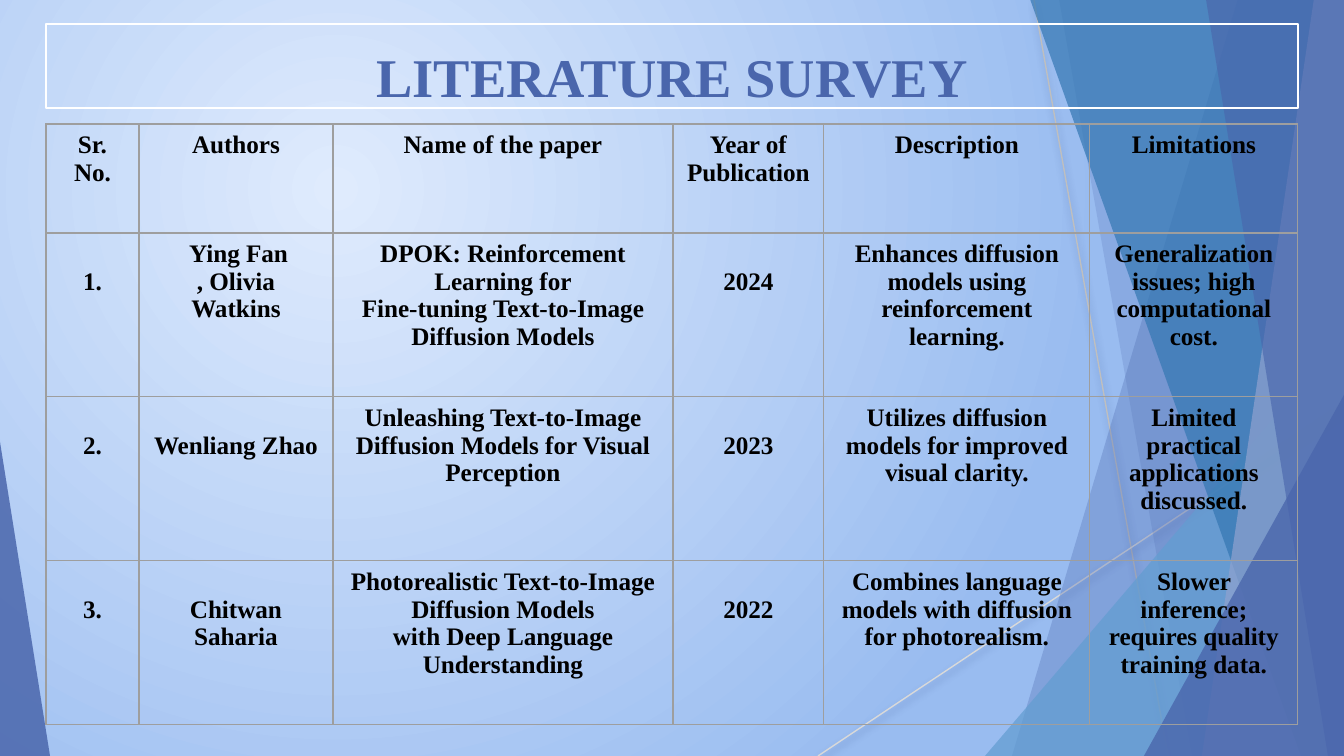
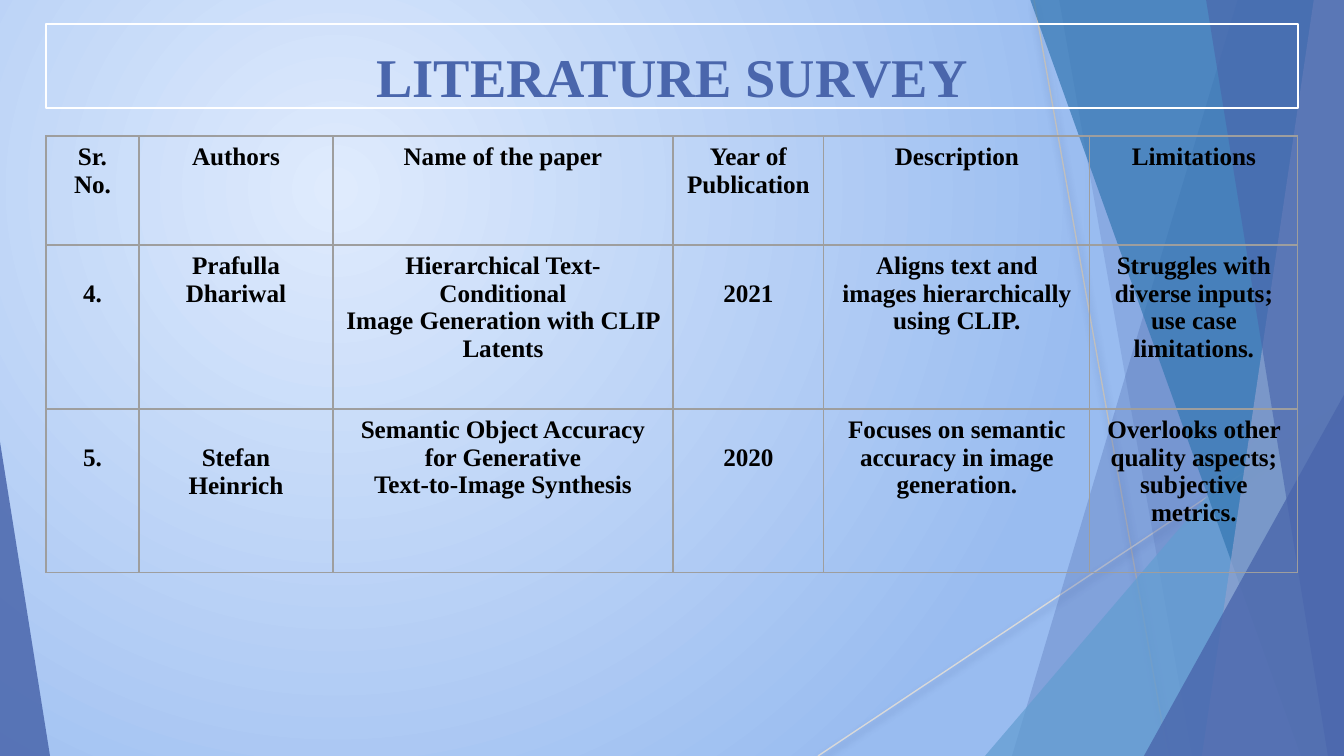
"""Builds the two literature survey slides."""
from lxml.etree import SubElement
from pptx import Presentation
from pptx.dml.color import RGBColor
from pptx.enum.shapes import MSO_CONNECTOR as Connector, MSO_SHAPE as Preset
from pptx.enum.text import MSO_ANCHOR as Anchor, MSO_AUTO_SIZE as AutoSize, PP_ALIGN as Align
from pptx.oxml import parse_xml
from pptx.oxml.ns import nsdecls, qn
from pptx.util import Emu, Pt

WIDTH, HEIGHT = 1344, 756
SCALE = 9144000 / WIDTH
FONT = "Times New Roman"
BLUE, SKY, TEAL, LAVENDER = "4A66AC", "629DD1", "3477B2", "90A2CF"
WHITE, BLACK, BORDER = "FFFFFF", "000000", "9E9E9E"
LEFT, CONTENT_WIDTH = 46, 1252
COLUMNS = [93, 194, 340, 151, 266, 208]
HEADER_HEIGHT, ROW_HEIGHT = 109, 164
CELL_MARGIN, LINE_HEIGHT = 7, 28

HEADINGS = ["Sr. No.", "Authors", "Name of the paper", "Year of Publication",
            "Description", "Limitations"]
SURVEYS = [
    (124, [
        ["\n1.", " Ying Fan\n, Olivia Watkins",
         "DPOK: Reinforcement Learning for\nFine-tuning Text-to-Image Diffusion Models",
         "\n2024", "Enhances diffusion models using reinforcement learning.",
         "Generalization issues; high computational cost."],
        ["\n2.", "\nWenliang Zhao",
         "Unleashing Text-to-Image Diffusion Models for Visual Perception",
         "\n2023", "Utilizes diffusion models for improved visual clarity.",
         "Limited practical applications discussed."],
        ["\n3.", "\nChitwan Saharia",
         "Photorealistic Text-to-Image Diffusion Models\nwith Deep Language Understanding",
         "\n2022", "Combines language models with diffusion for photorealism.",
         "Slower inference; requires quality training data."],
    ]),
    (136, [
        ["\n4.", "Prafulla Dhariwal",
         "Hierarchical Text-Conditional\nImage Generation with CLIP Latents",
         "\n2021", "Aligns text and images hierarchically using CLIP.",
         "Struggles with diverse inputs; use case limitations."],
        ["\n5.", "\nStefan Heinrich",
         "Semantic Object Accuracy for Generative\nText-to-Image Synthesis",
         "\n2020", "Focuses on semantic accuracy in image generation.",
         "Overlooks other quality aspects; subjective metrics."],
    ]),
]


def px(length):
    return Emu(round(length * SCALE))


def rgb(color):
    return RGBColor.from_string(color)


class Deck:
    def __init__(self):
        self.presentation = Presentation()
        self.presentation.slide_width = px(WIDTH)
        self.presentation.slide_height = px(HEIGHT)
        self.layout = self.presentation.slide_layouts[5]
        self.slide = None
        self.background("DFEBFD", "99BCF0")

    def background(self, *colors):
        fill = self.layout.background.fill
        fill.gradient()
        for stop, color in zip(fill.gradient_stops, colors):
            stop.color.rgb = rgb(color)
        gradient = self.layout.element.find(".//" + qn("a:gradFill"))
        gradient.replace(gradient.find(qn("a:lin")), parse_xml(
            f'<a:path {nsdecls("a")} path="circle">'
            '<a:fillToRect l="50000" t="50000" r="100000" b="100000"/></a:path>'))

    def add_slide(self):
        self.slide = self.presentation.slides.add_slide(self.layout)
        self.line(1034, 0, 1168, HEIGHT, "BFBFBF")
        self.line(WIDTH, 406, 818, HEIGHT, "D9D9D9")
        self.band(1238, 1012, BLUE, 30)
        self.band(1059, 1192, BLUE, 20)
        self.triangle(985, 336, 359, 1, SKY, 72)
        self.band(1030, 1301, TEAL, 70)
        self.band(1314, 1202, LAVENDER, 70)
        self.band(1206, 1328, BLUE, 65)
        self.triangle(1144, 395, 200, 1, BLUE, 80)
        self.triangle(0, 442, 50, 0, BLUE, 85)

    def line(self, x1, y1, x2, y2, color):
        connector = self.slide.shapes.add_connector(
            Connector.STRAIGHT, px(x1), px(y1), px(x2), px(y2))
        connector.line.color.rgb = rgb(color)
        connector.line.width = Pt(0.75)
        connector.element.spPr.append(parse_xml(
            f'<a:effectLst {nsdecls("a")}><a:outerShdw blurRad="50800" dist="25400" dir="5400000">'
            '<a:srgbClr val="1D3674"><a:alpha val="38000"/></a:srgbClr>'
            '</a:outerShdw></a:effectLst>'))

    def paint(self, shape, color, opacity):
        shape.shadow.inherit = False
        shape.line.fill.background()
        shape.fill.solid()
        shape.fill.fore_color.rgb = rgb(color)
        tint = shape.element.spPr.find(qn("a:solidFill")).find(qn("a:srgbClr"))
        SubElement(tint, qn("a:alpha"), val=str(opacity * 1000))

    def band(self, top_x, bottom_x, color, opacity):
        builder = self.slide.shapes.build_freeform(top_x, -1, SCALE)
        builder.add_line_segments([(WIDTH, -1), (WIDTH, HEIGHT), (bottom_x, HEIGHT)])
        self.paint(builder.convert_to_shape(), color, opacity)

    def triangle(self, left, top, width, apex, color, opacity):
        shape = self.slide.shapes.add_shape(
            Preset.ISOSCELES_TRIANGLE, px(left), px(top), px(width), px(HEIGHT - top))
        shape.adjustments[0] = apex
        self.paint(shape, color, opacity)

    def add_text(self, paragraph, text, size, color):
        paragraph.alignment = Align.CENTER
        run = paragraph.add_run()
        run.text = text
        run.font.name = FONT
        run.font.size = Pt(size)
        run.font.bold = True
        run.font.color.rgb = rgb(color)

    def title(self, text):
        shape = self.slide.shapes.title
        self.slide.shapes.element.append(shape.element)
        shape.left, shape.top = px(LEFT), px(24)
        shape.width, shape.height = px(CONTENT_WIDTH), px(84)
        shape.line.color.rgb = rgb(WHITE)
        shape.line.width = Pt(0.75)
        frame = shape.text_frame
        frame.auto_size = AutoSize.NONE
        frame.vertical_anchor = Anchor.TOP
        frame.margin_top, frame.margin_bottom = px(19), 0
        self.add_text(frame.paragraphs[0], text, 29.2, BLUE)

    def cell(self, cell, text):
        cell.fill.background()
        cell.margin_top = px(CELL_MARGIN + LINE_HEIGHT * text.startswith("\n"))
        frame = cell.text_frame
        for index, line in enumerate(text.lstrip("\n").split("\n")):
            paragraph = frame.add_paragraph() if index else frame.paragraphs[0]
            self.add_text(paragraph, line, 13.5, BLACK)
        properties = cell._tc.get_or_add_tcPr()
        for index, side in enumerate(("lnL", "lnR", "lnT", "lnB")):
            properties.insert(index, parse_xml(
                f'<a:{side} {nsdecls("a")} w="9525"><a:solidFill>'
                f'<a:srgbClr val="{BORDER}"/></a:solidFill></a:{side}>'))

    def table(self, top, rows):
        heights = [HEADER_HEIGHT] + [ROW_HEIGHT] * (len(rows) - 1)
        table = self.slide.shapes.add_table(
            len(rows), len(COLUMNS), px(LEFT), px(top),
            px(CONTENT_WIDTH), px(sum(heights))).table
        table.first_row = table.horz_banding = False
        for column, width in zip(table.columns, COLUMNS):
            column.width = px(width)
        for row, height, texts in zip(table.rows, heights, rows):
            row.height = px(height)
            for cell, text in zip(row.cells, texts):
                self.cell(cell, text)


def main():
    deck = Deck()
    for top, papers in SURVEYS:
        deck.add_slide()
        deck.title("LITERATURE SURVEY")
        deck.table(top, [HEADINGS] + papers)
    deck.presentation.save("out.pptx")


if __name__ == "__main__":
    main()
